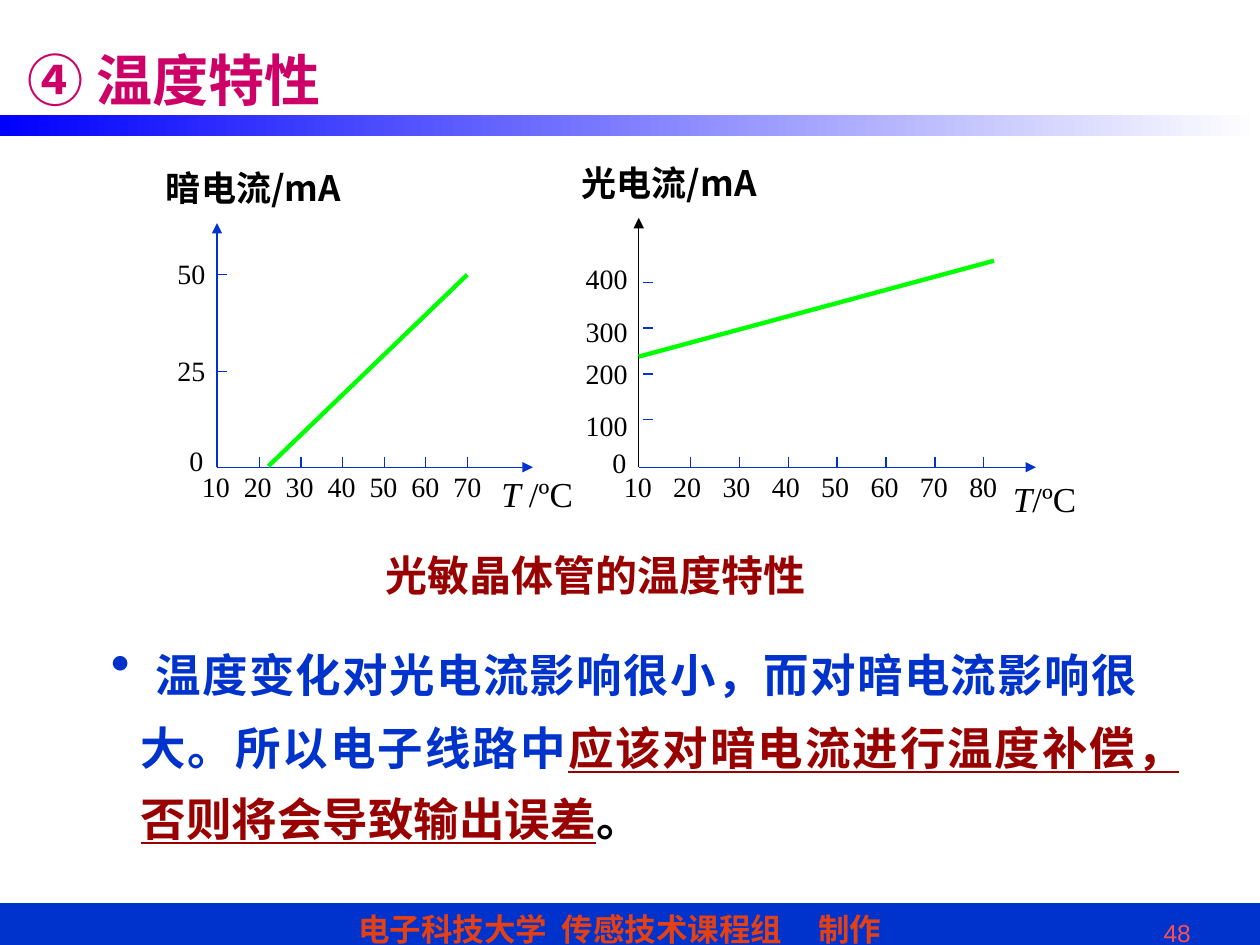
from dataclasses import dataclass

from lxml import etree
from pptx import Presentation
from pptx.dml.color import RGBColor
from pptx.enum.shapes import MSO_CONNECTOR, MSO_SHAPE
from pptx.enum.text import MSO_ANCHOR, PP_ALIGN
from pptx.oxml.ns import qn
from pptx.slide import Slide
from pptx.util import Pt

BLUE = RGBColor(0x00, 0x33, 0xCC)
PURE_BLUE = RGBColor(0x00, 0x00, 0xFF)
WHITE = RGBColor(0xFF, 0xFF, 0xFF)
BLACK = RGBColor(0x00, 0x00, 0x00)
GREEN = RGBColor(0x00, 0xFF, 0x00)
MAGENTA = RGBColor(0xCC, 0x00, 0x66)
DARK_RED = RGBColor(0x99, 0x00, 0x00)
ORANGE = RGBColor(0xE3, 0x41, 0x15)
CORAL = RGBColor(0xFF, 0x50, 0x50)

SERIF = "Times New Roman"
SANS = "Arial"
CJK = "Noto Sans CJK SC"

LEFT, CENTER, RIGHT = PP_ALIGN.LEFT, PP_ALIGN.CENTER, PP_ALIGN.RIGHT
JUSTIFY = PP_ALIGN.JUSTIFY
TOP, MIDDLE = MSO_ANCHOR.TOP, MSO_ANCHOR.MIDDLE
RECTANGLE = MSO_SHAPE.RECTANGLE
STRAIGHT = MSO_CONNECTOR.STRAIGHT


@dataclass
class SlideWriter:
    slide: Slide
    axis_color: RGBColor = BLUE
    axis_width: float = 0.75
    tick_size: int = 16
    tick_length: float = 6

    def bar(self, left, top, width, height):
        shape = self.slide.shapes.add_shape(RECTANGLE, Pt(left), Pt(top), Pt(width), Pt(height))
        shape.shadow.inherit = False
        return shape

    def solid_bar(self, *box, color):
        shape = self.bar(*box)
        shape.fill.solid()
        shape.fill.fore_color.rgb = color
        shape.line.color.rgb = color
        shape.line.width = Pt(self.axis_width)

    def gradient_bar(self, *box, colors):
        shape = self.bar(*box)
        shape.fill.gradient()
        shape.fill.gradient_angle = 0
        for stop, color in zip(shape.fill.gradient_stops, colors):
            stop.color.rgb = color
        shape.line.fill.background()

    def text(self, left, top, width, height, *runs, size, color=BLACK, font=SERIF,
             bold=False, align=LEFT, anchor=TOP, spacing=None, bullet=None, tabs=()):
        frame = self.slide.shapes.add_textbox(Pt(left), Pt(top), Pt(width), Pt(height)).text_frame
        frame.word_wrap = True
        frame.vertical_anchor = anchor
        paragraph = frame.paragraphs[0]
        paragraph.alignment = align
        if spacing:
            paragraph.line_spacing = spacing
        properties = paragraph._p.get_or_add_pPr()
        if bullet:
            properties.set("marL", str(Pt(17)))
            properties.set("indent", str(-Pt(17)))
            bullet_color = etree.SubElement(properties, qn("a:buClr"))
            etree.SubElement(bullet_color, qn("a:srgbClr"), val=str(color))
            etree.SubElement(properties, qn("a:buChar"), char=bullet)
        if tabs:
            stops = etree.SubElement(properties, qn("a:tabLst"))
            for position in tabs:
                etree.SubElement(stops, qn("a:tab"), pos=str(Pt(position)), algn="l")
        paragraph.font.size = Pt(size)
        paragraph.font.name = font
        paragraph.font.bold = bold
        paragraph.font.color.rgb = color
        for words, changes in runs:
            run = paragraph.add_run()
            run.text = words
            run.font.size = Pt(changes.get("size", size))
            run.font.name = changes.get("font", font)
            run.font.bold = changes.get("bold", bold)
            run.font.italic = changes.get("italic", False)
            run.font.underline = changes.get("underline", False)
            run.font.color.rgb = changes.get("color", color)

    def line(self, start, end, color=None, width=None, arrow=False):
        connector = self.slide.shapes.add_connector(STRAIGHT, *map(Pt, start + end))
        connector.line.color.rgb = color or self.axis_color
        connector.line.width = Pt(width or self.axis_width)
        if arrow:
            outline = connector.line._get_or_add_ln()
            etree.SubElement(outline, qn("a:tailEnd"), type="triangle")
        etree.SubElement(connector._element.spPr, qn("a:effectLst"))

    def tick_label(self, left, top, words, width=37):
        self.text(left, top, width, 30, (words, {}), size=self.tick_size)

    def axes(self, origin, top, right, x_ticks, y_ticks, y_tick_left, y_color=BLUE):
        x, y = origin
        self.line(origin, (x, top), color=y_color, arrow=True)
        self.line(origin, (right, y), arrow=True)
        for tick in x_ticks:
            self.line((tick, y - self.tick_length), (tick, y))
        for tick in y_ticks:
            self.line((y_tick_left, tick), (y_tick_left + self.tick_length, tick))

    def x_labels(self, first_left, step, values):
        for index, value in enumerate(values):
            self.tick_label(first_left + index * step, 265, str(value))

    def y_labels(self, left, tops, width=37):
        for value, top in tops.items():
            self.tick_label(left, top, str(value), width)

    def trend(self, start, end):
        self.line(start, end, color=GREEN, width=2.5)


def main():
    presentation = Presentation()
    presentation.slide_width, presentation.slide_height = Pt(720), Pt(540)
    writer = SlideWriter(presentation.slides.add_slide(presentation.slide_layouts[6]))

    writer.solid_bar(0, 516.2, 720, 28.8, color=BLUE)
    writer.text(197.5, 516.2, 400, 28.8, ("电子科技大学\t传感技术课程组\t制作", {}), size=18,
                color=ORANGE, font=SANS, bold=True, anchor=MIDDLE, tabs=(116.5, 263))
    writer.gradient_bar(0, 65.5, 720, 12.2, colors=(PURE_BLUE, WHITE))
    writer.text(507.6, 521.3, 180, 18.7, ("48", {}), size=14, color=CORAL, font=SANS, align=RIGHT)
    writer.text(8.6, 0, 612, 90, ("④ ", {}), ("温度特性", {"font": CJK}), size=32,
                color=MAGENTA, font=SANS, bold=True, anchor=MIDDLE)

    conclusion = {"font": SANS, "color": DARK_RED, "underline": True}
    writer.text(56.2, 348.5, 601.2, 138.2, (" ", {"size": 32, "bold": False}),
                ("温度变化对光电流影响很小，而对暗电流影响很大。", {}),
                ("所以电子线路中", {"font": SANS}),
                ("应该对暗电流进行温度补偿，否则将会导致输出误差", conclusion),
                ("。", {"font": SANS, "color": BLACK}),
                size=26, color=BLUE, bold=True, align=JUSTIFY, spacing=1.3, bullet="•")

    writer.text(87.8, 91.4, 138, 35, ("暗电流/mA", {}), size=20, font=CJK, bold=True)
    writer.axes((124, 267), 127.5, 304.5, [148.3 + 23.75 * i for i in range(6)],
                (212.4, 157), 124)
    writer.x_labels(108.3, 23.95, range(10, 80, 10))
    writer.y_labels(94.3, {25: 198.7, 50: 143.3})
    writer.tick_label(101.2, 249.8, "0")
    writer.trend((153.4, 266.4), (267, 157))
    writer.text(279.4, 266.4, 60.5, 35, ("T ", {"italic": True}), ("/ºC", {}), size=20)

    writer.text(325.4, 88.6, 122.4, 35, ("光电流/mA", {}), size=20, font=CJK, bold=True)
    writer.axes((365, 267), 124.5, 592, [394.5 + 27.95 * i for i in range(7)],
                [239.8 - 26.15 * i for i in range(4)], 367.2, y_color=BLACK)
    writer.x_labels(349.4, 28.2, range(10, 90, 10))
    writer.y_labels(327.6, {100: 229.7, 200: 200.2, 300: 176.4, 400: 146.2}, width=52)
    writer.tick_label(342.8, 251.3, "0")
    writer.trend((365, 203.8), (568, 149))
    writer.text(571.7, 269.3, 68.4, 28.8, ("T", {"italic": True}), ("/ºC", {}), size=20)

    writer.text(151.2, 310.3, 378, 38.9, ("光敏晶体管的温度特性", {}), size=24,
                color=DARK_RED, bold=True, align=CENTER)

    presentation.save("out.pptx")


if __name__ == "__main__":
    main()
